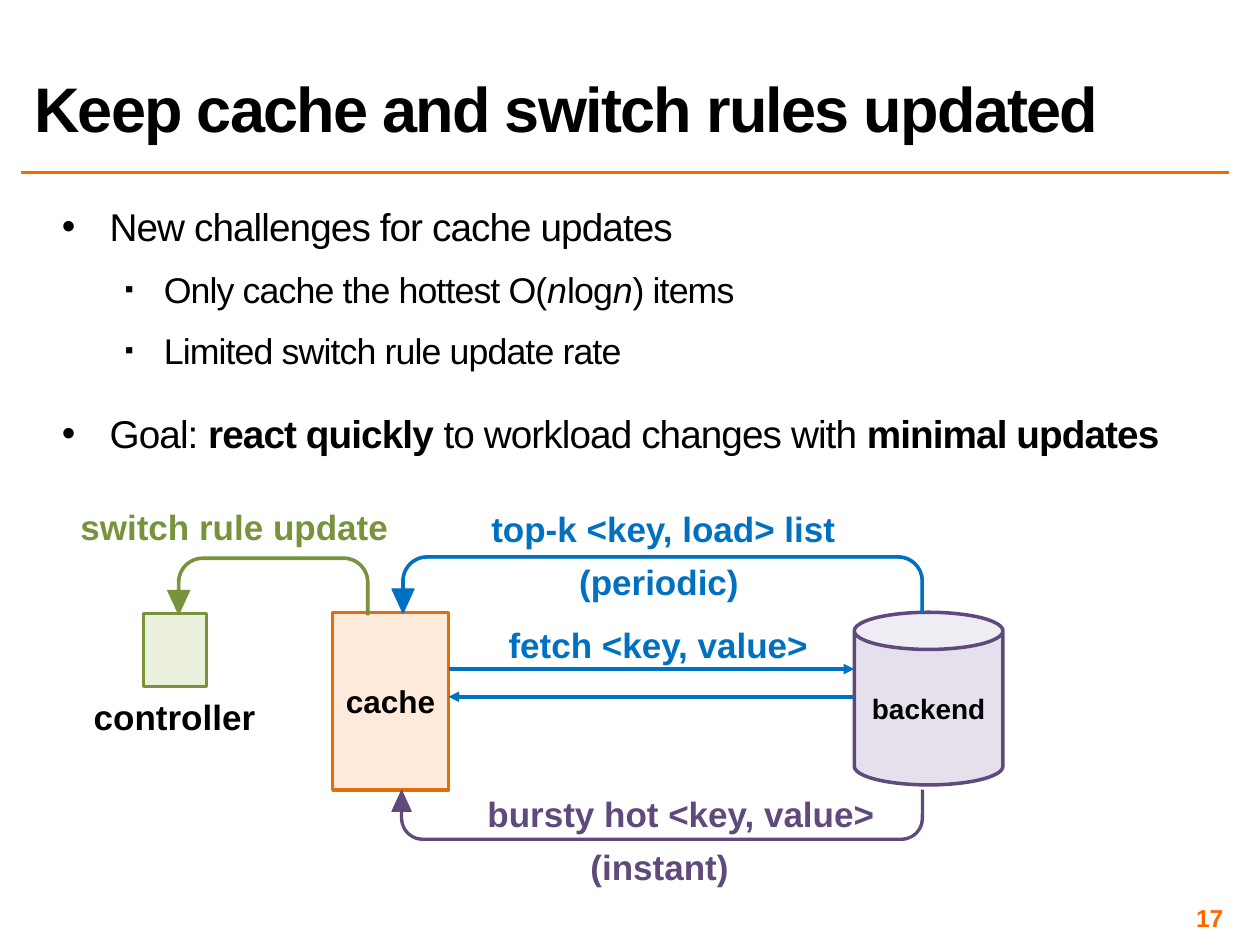
from dataclasses import dataclass

import lxml.etree
import pptx
import pptx.dml.color
import pptx.enum.shapes
import pptx.enum.text
import pptx.oxml.ns
import pptx.util

COLUMNS, ROWS = 100, 75
WIDTH, HEIGHT = pptx.util.Inches(10), pptx.util.Inches(7.5)
FONT = "Arial"
BLACK, ORANGE, BLUE, GREEN, PURPLE = "000000", "FF6600", "0070C0", "77933C", "604A7B"
SHAPES = pptx.enum.shapes.MSO_SHAPE
ALIGN = pptx.enum.text.PP_ALIGN
ANCHOR = pptx.enum.text.MSO_ANCHOR
FIT = pptx.enum.text.MSO_AUTO_SIZE


@dataclass
class Area:
    column: float
    row: float
    columns: float
    rows: float

    def lengths(self) -> tuple:
        return (column(self.column), row(self.row), column(self.columns), row(self.rows))


@dataclass
class Node:
    kind: int
    area: Area
    fill: str
    line: str
    text: str = ""
    size: float = 18


@dataclass
class Turn:
    area: Area
    color: str
    below: bool = False


@dataclass
class Label:
    text: str
    area: Area
    color: str


@dataclass
class Link:
    start: tuple
    end: tuple
    color: str
    arrow: bool = True


@dataclass
class Bullet:
    runs: list
    level: int = 0
    before: float = 0
    spacing: float = 0.85


NODES = [
    Node(SHAPES.RECTANGLE, Area(11.4, 48.7, 5, 5.8), "EBF1DE", GREEN),
    Node(SHAPES.RECTANGLE, Area(26.4, 48.6, 9.2, 14.1), "FDEADA", "E46C0A", "cache"),
    Node(SHAPES.CAN, Area(67.8, 48.6, 11.8, 13.7), "E6E0EC", PURPLE, "backend", 16),
]
TURNS = [
    Turn(Area(13.3, 44.2, 16, 4.6), GREEN),
    Turn(Area(31.1, 44.1, 42.2, 4.6), BLUE),
    Turn(Area(31.1, 62.7, 42.2, 4), PURPLE, below=True),
]
LINKS = [
    Link((1.7, 13.7), (97.5, 13.7), ORANGE, arrow=False),
    Link((35.6, 53.1), (67.8, 53.1), BLUE),
    Link((67.8, 55.3), (35.6, 55.3), BLUE),
]
LABELS = [
    Label("switch rule update", Area(5.3, 39.6, 26.6, 4.4), GREEN),
    Label("top-k <key, load> list", Area(37.9, 39.8, 29.5, 4.4), BLUE),
    Label("(periodic)", Area(44.9, 44, 14.8, 4.4), BLUE),
    Label("fetch <key, value>", Area(37.2, 49, 30.1, 4.4), BLUE),
    Label("(instant)", Area(45.8, 66.6, 13.1, 4.4), PURPLE),
    Label("bursty hot <key, value>", Area(37.6, 62.4, 32.9, 4.4), PURPLE),
    Label("controller", Area(6.4, 54.7, 14.9, 4.4), BLACK),
]
BULLETS = [
    Bullet([("New challenges for cache updates", "")], spacing=0.9),
    Bullet([("Only cache the hottest O(", ""), ("n", "italic"), ("log", ""),
            ("n", "italic"), (") items", "")], level=1, before=6),
    Bullet([("Limited switch rule update rate", "")], level=1, before=6),
    Bullet([("Goal: ", ""), ("react quickly ", "bold"),
            ("to workload changes with ", ""), ("minimal updates", "bold")], before=18),
]
LEVELS = [(0.38, -0.38, "•", 100, 22.1), (0.81, -0.31, "▪", 70, 20.4)]


def column(count: float) -> int:
    return round(WIDTH * count / COLUMNS)


def row(count: float) -> int:
    return round(HEIGHT * count / ROWS)


def color(value: str):
    return pptx.dml.color.RGBColor.from_string(value)


def add_tag(parent, tag: str, **attributes):
    return lxml.etree.SubElement(parent, pptx.oxml.ns.qn(tag), attributes)


def style(para, size: float, value: str, bold=None, tracking: int = 0) -> None:
    para.font.name = FONT
    para.font.size = pptx.util.Pt(size)
    para.font.bold = bold
    para.font.color.rgb = color(value)
    if tracking:
        defaults = para._p.pPr.find(pptx.oxml.ns.qn("a:defRPr"))
        defaults.set("spc", str(tracking))


def place(box, area: Area) -> None:
    box.left, box.top, box.width, box.height = area.lengths()


def set_insets(frame, inset: float) -> None:
    frame.margin_left = frame.margin_right = pptx.util.Inches(inset)
    frame.margin_top = frame.margin_bottom = pptx.util.Inches(inset)


def add_title(page, text: str) -> None:
    title = page.shapes.title
    place(title, Area(1.7, -0.5, 100, 12.5))
    frame = title.text_frame
    frame.text = text
    frame.auto_size = FIT.NONE
    frame.vertical_anchor = ANCHOR.BOTTOM
    para = frame.paragraphs[0]
    para.alignment = ALIGN.LEFT
    para.line_spacing = 0.8
    style(para, 36, BLACK, bold=True, tracking=-100)


def add_bullets(page, bullets: list) -> None:
    body = page.placeholders[1]
    place(body, Area(4.5, 16.1, 93, 20.7))
    frame = body.text_frame
    frame.auto_size = FIT.NONE
    set_insets(frame, 0.04)
    for index, bullet in enumerate(bullets):
        para = frame.add_paragraph() if index else frame.paragraphs[0]
        margin, indent, mark, scale, size = LEVELS[bullet.level]
        para.level = bullet.level
        para.line_spacing = bullet.spacing
        para.space_before = pptx.util.Pt(bullet.before)
        para.space_after = pptx.util.Pt(8)
        properties = para._p.get_or_add_pPr()
        properties.set("marL", str(pptx.util.Inches(margin)))
        properties.set("indent", str(pptx.util.Inches(indent)))
        add_tag(properties, "a:buSzPct", val=str(scale * 1000))
        add_tag(properties, "a:buFont", typeface=FONT)
        add_tag(properties, "a:buChar", char=mark)
        style(para, size, BLACK, tracking=-50)
        for text, emphasis in bullet.runs:
            span = para.add_run()
            span.text = text
            if emphasis:
                setattr(span.font, emphasis, True)


def add_shape(page, kind: int, area: Area, fill: str, line: str, width: float):
    shape = page.shapes.add_shape(kind, *area.lengths())
    shape.shadow.inherit = False
    shape.fill.solid()
    shape.fill.fore_color.rgb = color(fill)
    shape.line.color.rgb = color(line)
    shape.line.width = pptx.util.Pt(width)
    return shape


def add_node(page, node: Node) -> None:
    shape = add_shape(page, node.kind, node.area, node.fill, node.line, 2)
    if node.text:
        frame = shape.text_frame
        frame.text = node.text
        frame.word_wrap = False
        frame.vertical_anchor = ANCHOR.MIDDLE
        frame.paragraphs[0].alignment = ALIGN.CENTER
        style(frame.paragraphs[0], node.size, BLACK, bold=True)


def add_turn(page, turn: Turn) -> None:
    shape = add_shape(page, SHAPES.U_TURN_ARROW, turn.area, turn.color, turn.color, 0.5)
    for index, share in enumerate((0.047, 0.193, 0.422, 0.438, 0.998)):
        shape.adjustments[index] = share
    if turn.below:
        shape.rotation = 180
    else:
        shape._element.spPr.find(pptx.oxml.ns.qn("a:xfrm")).set("flipH", "1")


def add_link(page, link: Link) -> None:
    (left, top), (right, bottom) = link.start, link.end
    connector = page.shapes.add_connector(
        pptx.enum.shapes.MSO_CONNECTOR.STRAIGHT,
        column(left), row(top), column(right), row(bottom))
    connector.line.color.rgb = color(link.color)
    connector.line.width = pptx.util.Pt(2)
    if link.arrow:
        add_tag(connector.line._get_or_add_ln(), "a:tailEnd", type="triangle")
    add_tag(connector._element.spPr, "a:effectLst")


def add_label(page, label: Label, size: float = 20, align=ALIGN.CENTER):
    box = page.shapes.add_textbox(*label.area.lengths())
    frame = box.text_frame
    frame.text = label.text
    frame.word_wrap = False
    frame.paragraphs[0].alignment = align
    style(frame.paragraphs[0], size, label.color, bold=True)
    return frame


def main() -> None:
    deck = pptx.Presentation()
    deck.slide_width, deck.slide_height = WIDTH, HEIGHT
    page = deck.slides.add_slide(deck.slide_layouts[1])
    add_title(page, "Keep cache and switch rules updated")
    add_bullets(page, BULLETS)
    for draw, items in ((add_node, NODES), (add_turn, TURNS),
                        (add_link, LINKS), (add_label, LABELS)):
        for item in items:
            draw(page, item)
    number = add_label(page, Label("17", Area(74.2, 71.7, 23.3, 2.3), ORANGE), 14, ALIGN.RIGHT)
    number.word_wrap = True
    number.vertical_anchor = ANCHOR.MIDDLE
    set_insets(number, 0.04)
    deck.save("out.pptx")


if __name__ == "__main__":
    main()
